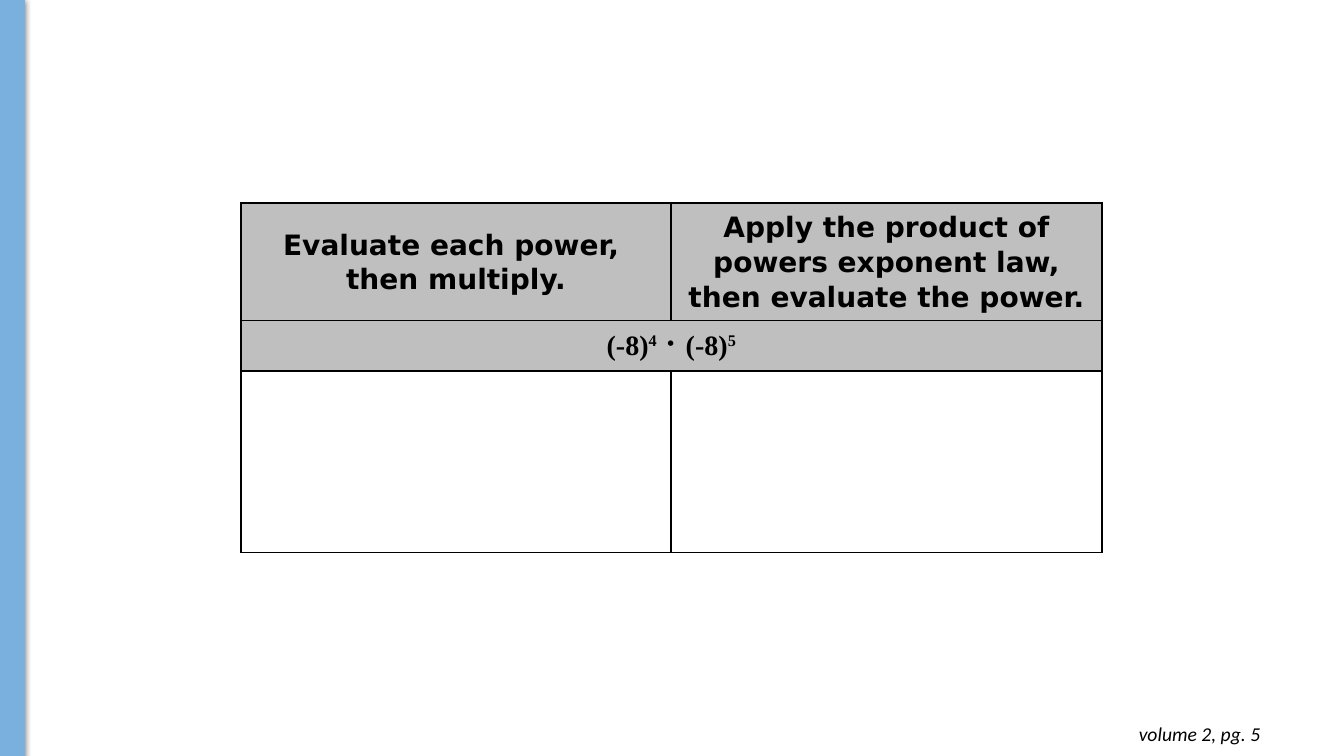
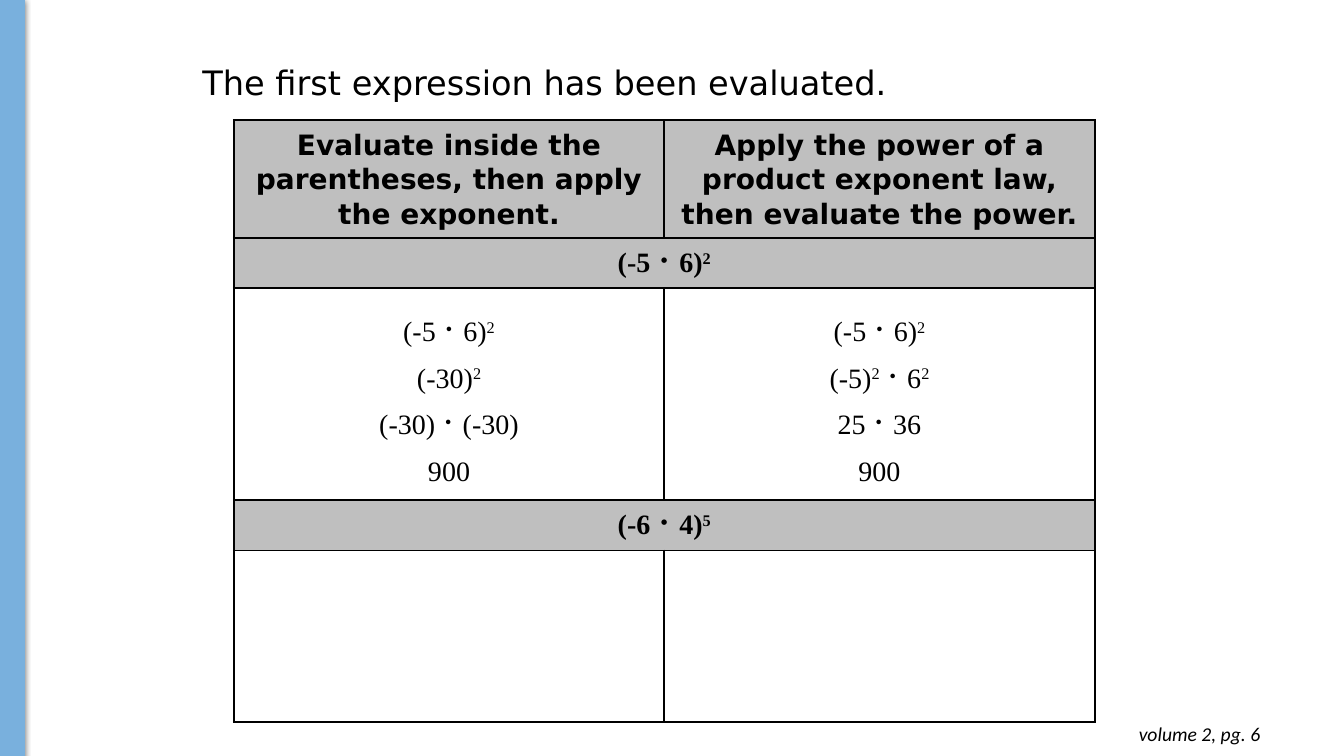
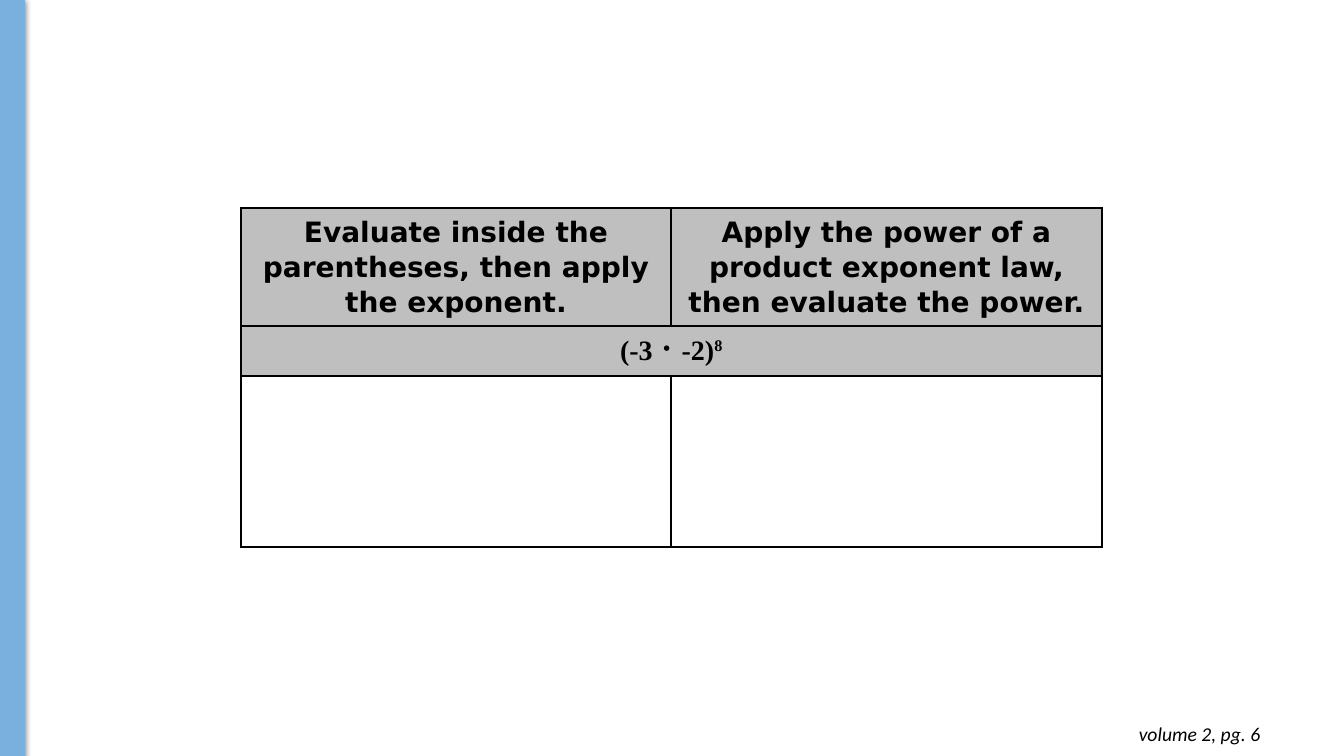
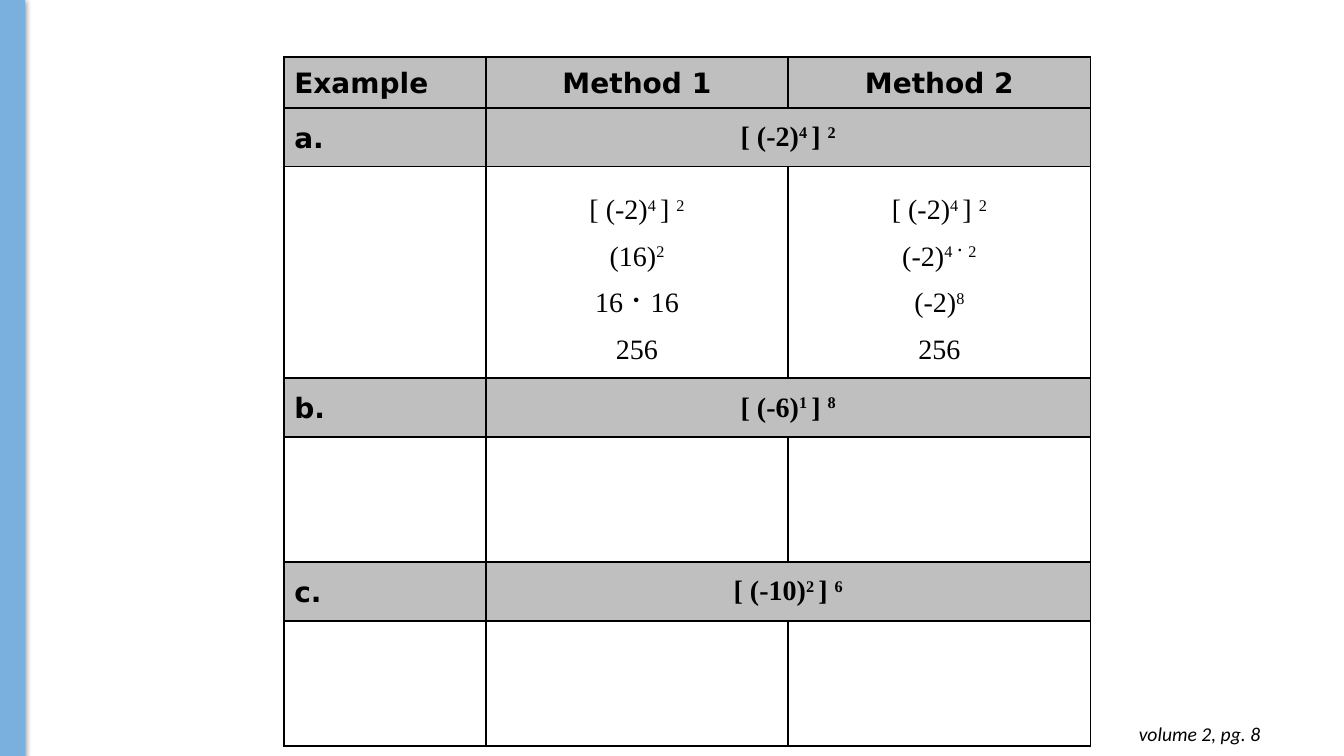
import pptx
import pptx.dml.color
import pptx.enum.shapes
import pptx.enum.text
import pptx.oxml
import pptx.oxml.ns
import pptx.util

Pt = pptx.util.Pt
RGB = pptx.dml.color.RGBColor
ALIGN = pptx.enum.text.PP_ALIGN
MIDDLE = pptx.enum.text.MSO_ANCHOR.MIDDLE
BLUE = RGB(0x79, 0xB0, 0xDD)
GRAY = RGB(0xBF, 0xBF, 0xBF)
BLACK = RGB(0, 0, 0)
SANS = "DejaVu Sans"
SERIF = "Times New Roman"
NAMES = pptx.oxml.ns.nsdecls("a")
WIDE = (307.5, 307.5)

SHADOW = (
    f'<a:effectLst {NAMES}><a:outerShdw blurRad="57150" dist="19050" dir="5400000" '
    'algn="ctr" rotWithShape="0"><a:srgbClr val="000000"><a:alpha val="50000"/>'
    '</a:srgbClr></a:outerShdw></a:effectLst>'
)
BORDER = (
    '<a:{side} {names} w="19050"><a:solidFill><a:srgbClr val="{color}"/>'
    '</a:solidFill></a:{side}>'
)


def write(frame, text, font=SANS, size=20, bold=False, italic=False,
          align=ALIGN.LEFT, spacing=None):
    """Newlines part paragraphs, \\v breaks a line, bars enclose exponents."""
    for index, line in enumerate(text.split("\n")):
        para = frame.add_paragraph() if index else frame.paragraphs[0]
        para.alignment = align
        para.line_spacing = spacing
        for row, part in enumerate(line.split("\v")):
            if row:
                para.add_line_break()
            for turn, piece in enumerate(part.split("|")):
                if not piece:
                    continue
                run = para.add_run()
                run.text = piece
                run.font.name = font
                run.font.size = Pt(size)
                run.font.bold = bold
                run.font.italic = italic
                run.font.color.rgb = BLACK
                if turn % 2:
                    run.font._element.set("baseline", "30000")


class Deck:
    kinds = {
        "head": dict(font=SANS, bold=True, spacing=1.07),
        "rule": dict(font=SERIF, bold=True),
        "work": dict(font=SERIF, spacing=1.5),
    }

    def __init__(self):
        self.show = pptx.Presentation()
        self.show.slide_width = Pt(960)
        self.show.slide_height = Pt(540)
        self.slide = None

    def page(self, number):
        self.slide = self.show.slides.add_slide(self.show.slide_layouts[6])
        self.band()
        self.note(f"volume 2, pg. {number}", 700, 508.3, 207.4, 31.7, inset=7.2,
                  font="Calibri", size=14, italic=True, align=ALIGN.RIGHT)

    def band(self):
        kind = pptx.enum.shapes.MSO_SHAPE.RECTANGLE
        band = self.slide.shapes.add_shape(kind, 0, Pt(-0.5), Pt(17.3), Pt(540.7))
        band.fill.solid()
        band.fill.fore_color.rgb = BLUE
        band.line.color.rgb = BLUE
        band.line.width = Pt(0.75)
        band._element.spPr.append(pptx.oxml.parse_xml(SHADOW))

    def note(self, text, left, top, width, height, inset=3.6, **style):
        box = self.slide.shapes.add_textbox(Pt(left), Pt(top), Pt(width), Pt(height))
        frame = box.text_frame
        frame.word_wrap = True
        frame.auto_size = pptx.enum.text.MSO_AUTO_SIZE.SHAPE_TO_FIT_TEXT
        frame.margin_top = frame.margin_bottom = Pt(inset)
        write(frame, text, **style)

    def cell(self, cell, kind, text, label):
        props = cell._tc.get_or_add_tcPr()
        for side in ("lnL", "lnR", "lnT", "lnB"):
            props.append(pptx.oxml.parse_xml(
                BORDER.format(side=side, names=NAMES, color=BLACK)))
        if kind == "work":
            cell.fill.background()
        else:
            cell.fill.solid()
            cell.fill.fore_color.rgb = GRAY
        cell.vertical_anchor = MIDDLE
        if text:
            style = self.kinds["head" if label else kind]
            align = ALIGN.LEFT if label else ALIGN.CENTER
            write(cell.text_frame, text, align=align, **style)

    def grid(self, left, top, cols, rows):
        high = sum(row[1] for row in rows)
        table = self.slide.shapes.add_table(
            len(rows), len(cols), Pt(left), Pt(top), Pt(sum(cols)), Pt(high)).table
        table.first_row = table.horz_banding = False
        for col, width in zip(table.columns, cols):
            col.width = Pt(width)
        for r, (kind, height, *texts) in enumerate(rows):
            table.rows[r].height = Pt(height)
            texts += [""] * (len(cols) - len(texts))
            for c, text in enumerate(texts):
                self.cell(table.cell(r, c), kind, text, len(cols) == 3 and c == 0)
            if kind == "rule":
                table.cell(r, len(cols) - 2).merge(table.cell(r, len(cols) - 1))


def main():
    deck = Deck()
    product = ("head", 84.2, "Evaluate inside the parentheses, then apply the exponent.",
               "Apply the power of a product exponent law, then evaluate the power.")

    deck.page(5)
    deck.grid(172, 144.7, WIDE, [
        ("head", 84.2, "Evaluate each power, \vthen multiply.",
         "Apply the product of powers exponent law, then evaluate the power."),
        ("rule", 36, "(-8)|4| ⠂(-8)|5|"),
        ("work", 129.6),
    ])

    deck.page(6)
    deck.note("The first expression has been evaluated.", 137.5, 41, 676, 36, size=24)
    deck.grid(167, 85.7, WIDE, [
        product,
        ("rule", 36, "(-5 ⠂6)|2|"),
        ("work", 131.8,
         "(-5 ⠂6)|2|\n(-30)|2|\n(-30) ⠂(-30)\n900",
         "(-5 ⠂6)|2|\n(-5)|2| ⠂6|2|\n25 ⠂36\n900"),
        ("rule", 36, "(-6 ⠂4)|5|"),
        ("work", 122.4),
    ])

    deck.page(6)
    deck.grid(172, 148.3, WIDE, [
        product,
        ("rule", 36, "(-3 ⠂-2)|8|"),
        ("work", 122.4),
    ])

    deck.page(8)
    deck.grid(203, 41, (144, 216, 216), [
        ("head", 36, "Example", "Method 1", "Method 2"),
        ("rule", 42, "a.", "[ (-2)|4 |] |2|"),
        ("work", 129.6, "",
         "[ (-2)|4 |] |2|\n(16)|2|\n16 ⠂16\n256",
         "[ (-2)|4 |] |2|\n(-2)|4 ⠂2|\n(-2)|8|\n256"),
        ("rule", 42, "b.", "[ (-6)|1 |] |8|"),
        ("work", 89.3),
        ("rule", 42, "c.", "[ (-10)|2 |] |6|"),
        ("work", 89.3),
    ])
    deck.show.save("out.pptx")


if __name__ == "__main__":
    main()
